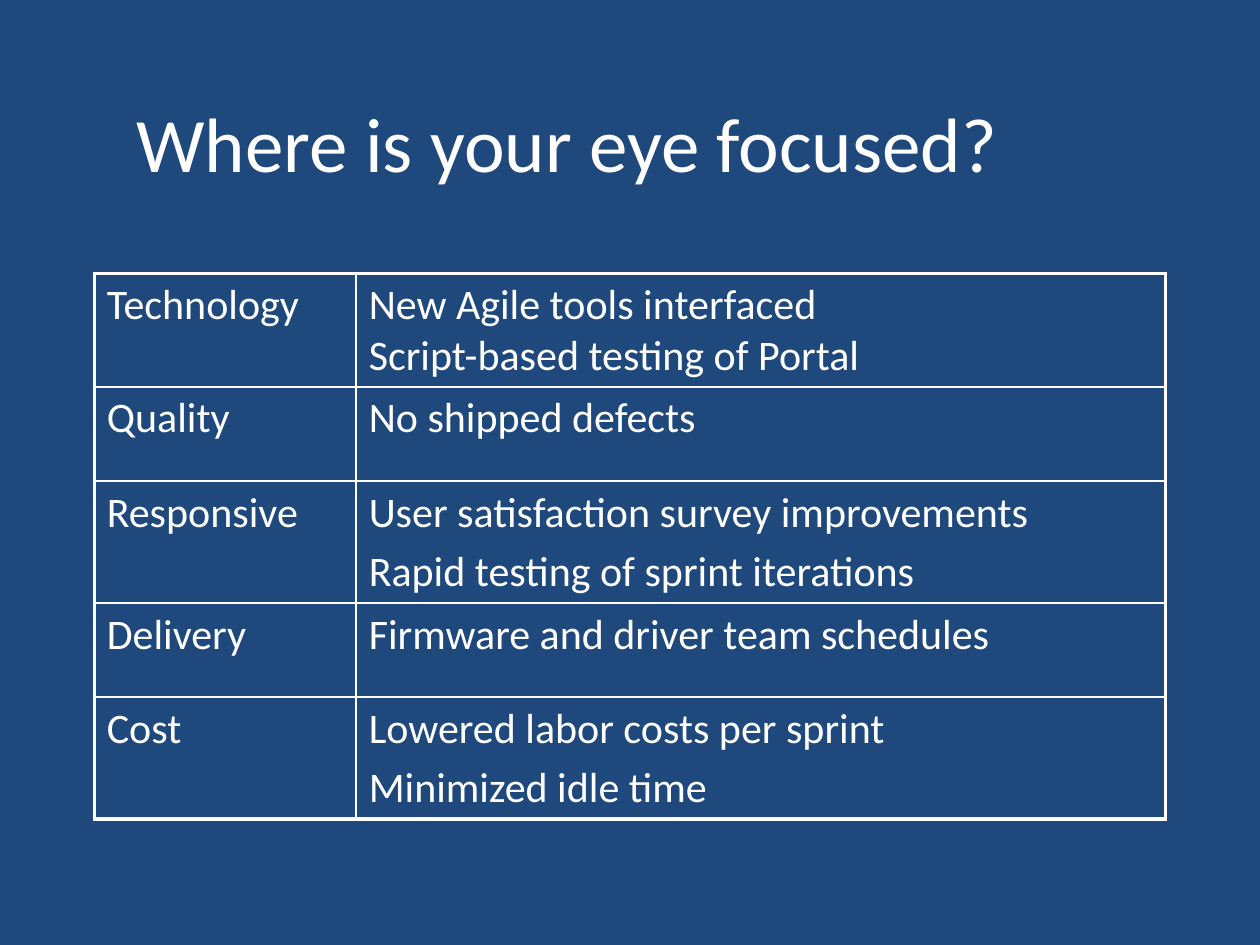
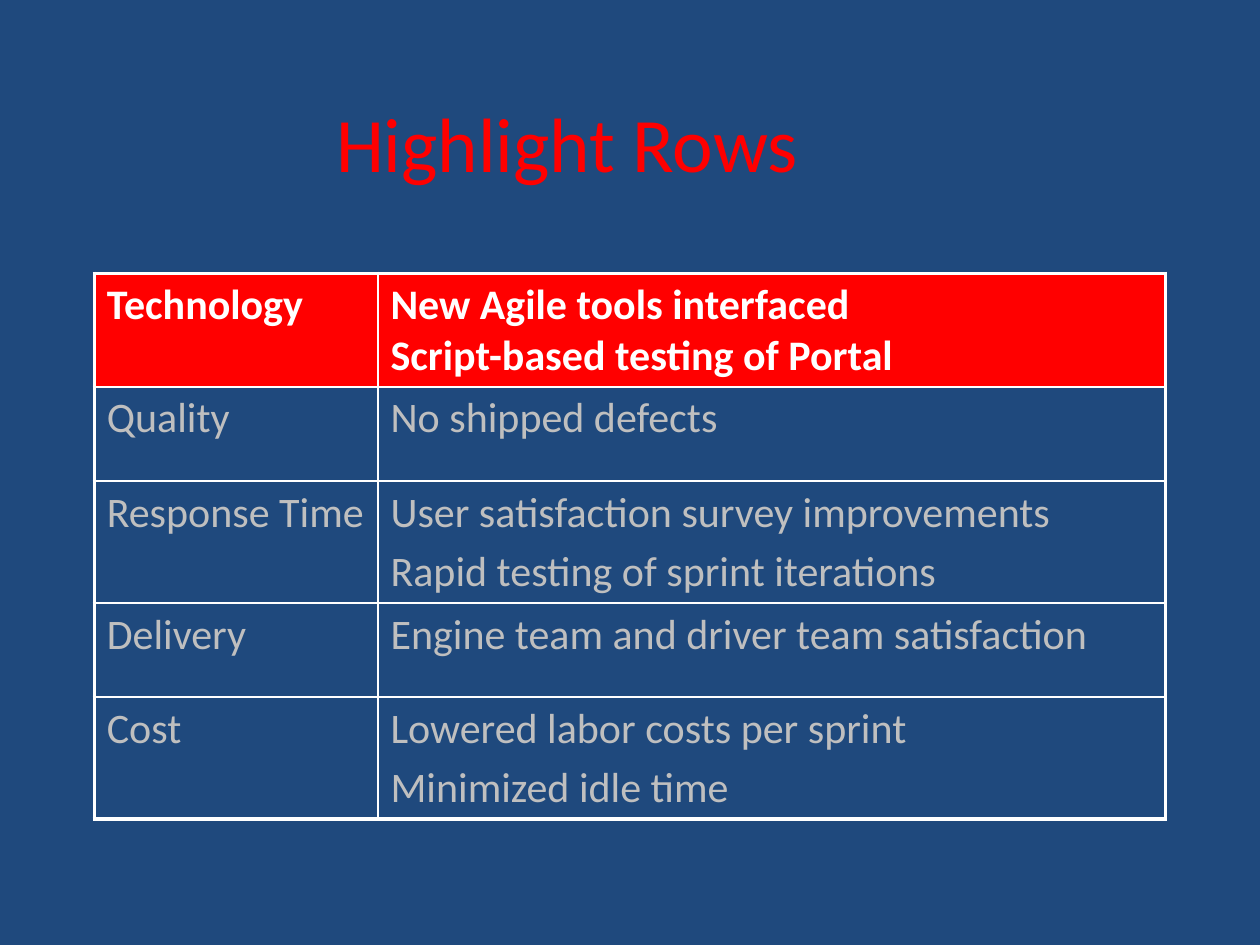
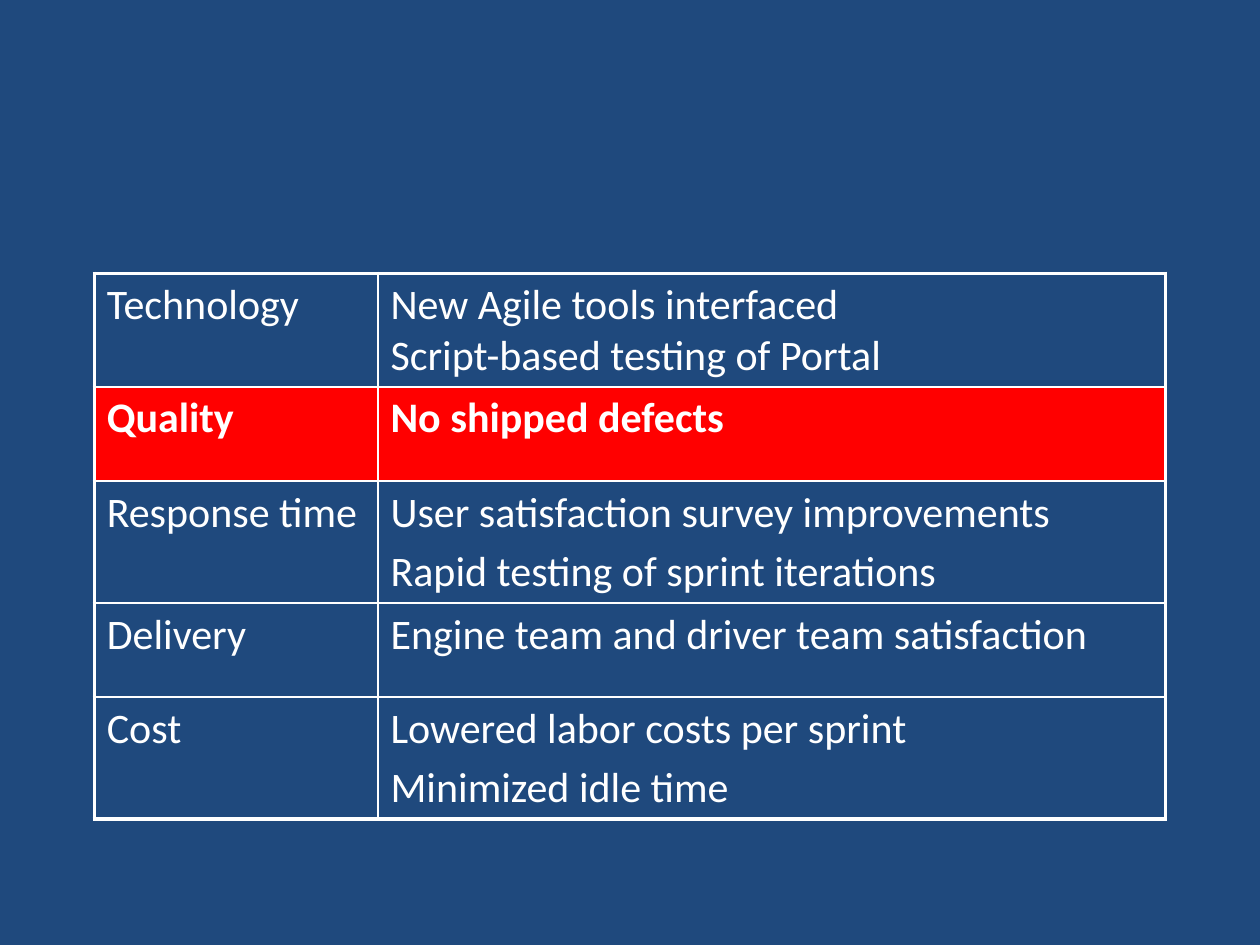
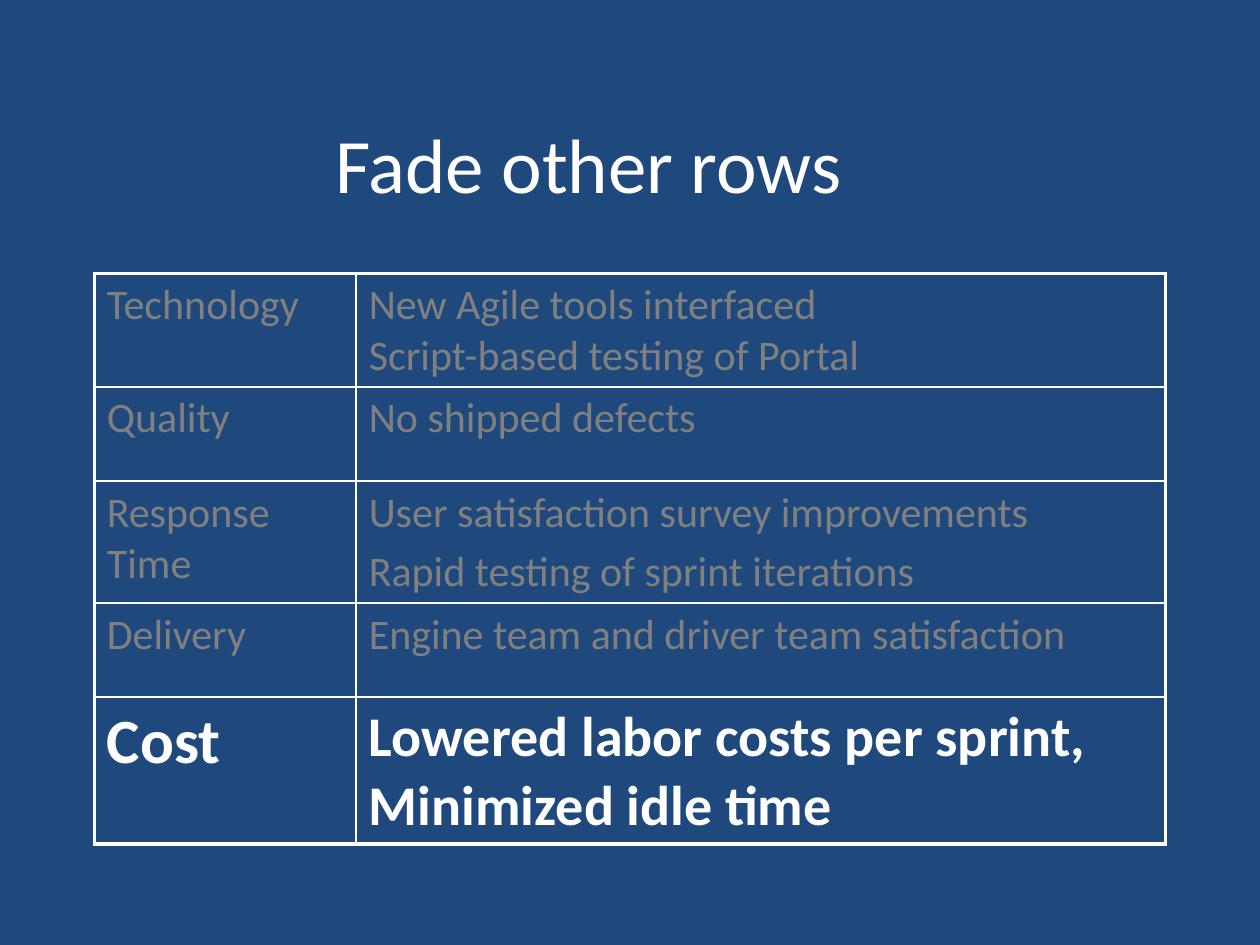
from dataclasses import dataclass

from lxml import etree
from pptx import Presentation
from pptx.dml.color import RGBColor
from pptx.enum.text import MSO_ANCHOR, PP_ALIGN
from pptx.oxml.ns import qn
from pptx.util import Cm, Pt

MIDDLE = MSO_ANCHOR.MIDDLE
CENTER = PP_ALIGN.CENTER
LEFT = PP_ALIGN.LEFT


@dataclass(frozen=True)
class Theme:
    """Colours, font, type sizes and line widths of the deck."""

    back: str = "1F497D"
    white: str = "FFFFFF"
    red: str = "FF0000"
    pale: str = "BFBFBF"
    grey: str = "808080"
    font: str = "Calibri"
    title: int = 44
    body: int = 24
    label: int = 36
    large: int = 32
    gap: float = 0.2
    thick: float = 2.25
    thin: float = 1


THEME = Theme()


@dataclass(frozen=True)
class Look:
    """Style of one table row: ink, weight, fill and size per column."""

    ink: str = THEME.white
    bold: bool = False
    fill: str = ""
    sizes: tuple = (THEME.body, THEME.body)


PLAIN = Look()
MARKED = Look(bold=True, fill=THEME.red)
LOUD = Look(bold=True, sizes=(THEME.label, THEME.large))

HEAD = (0.64, 1.27, 21.59, 3.18)
LOW_HEAD = (1.07, 1.7, 21.59, 3.18)
GRID = (1.9, 5.51, 21.59, 11.07)
TALL_GRID = (1.9, 5.51, 21.59, 11.56)
HEIGHTS = (1.9, 1.9, 1.9, 1.9, 2.29)
NARROW, WIDE = 5.28, 5.72

SURVEY = "User satisfaction survey improvements\nRapid testing of sprint iterations"
TEAMS = "Engine team and driver team satisfaction"
SAVINGS = "Lowered labor costs per sprint\nMinimized idle time"


def goals(reply="Response Time", teams=TEAMS, savings=SAVINGS):
    """Return the five rows of goals."""
    return [
        ("Technology", "New Agile tools interfaced\vScript-based testing of Portal"),
        ("Quality", "No shipped defects"),
        (reply, SURVEY),
        ("Delivery", teams),
        ("Cost", savings),
    ]


def place(box):
    """Turn a box in centimetres into lengths."""
    return [Cm(side) for side in box]


def write(frame, text, size, ink, bold=False, align=LEFT):
    """Fill a text frame and format its runs."""
    frame.text = text
    for index, para in enumerate(frame.paragraphs):
        para.alignment = align
        if index:
            para.space_before = Pt(size * THEME.gap)
        for run in para.runs:
            font = run.font
            font.name, font.size, font.bold = THEME.font, Pt(size), bold
            font.color.rgb = RGBColor.from_string(ink)


def edge(cell, sides):
    """Draw the cell borders, given whether each lies on the outside."""
    props = cell._tc.get_or_add_tcPr()
    for index, (name, outer) in enumerate(sides.items()):
        width = Pt(THEME.thick if outer else THEME.thin)
        line = etree.Element(qn(f"a:{name}"), w=str(width))
        fill = etree.SubElement(line, qn("a:solidFill"))
        etree.SubElement(fill, qn("a:srgbClr"), val=THEME.white)
        props.insert(index, line)


def heading(slide, box, text, ink=THEME.white):
    """Add a centred title in the box."""
    frame = slide.shapes.add_textbox(*place(box)).text_frame
    frame.word_wrap = True
    frame.vertical_anchor = MIDDLE
    write(frame, text, THEME.title, ink, align=CENTER)


def matrix(slide, box, split, rows, looks):
    """Add the goal table, its first column as wide as split."""
    shape = slide.shapes.add_table(len(rows), 2, *place(box))
    table = shape.table
    table.first_row = table.horz_banding = False
    for column, width in zip(table.columns, (split, box[2] - split)):
        column.width = Cm(width)
    last = len(rows) - 1
    for r, (texts, look) in enumerate(zip(rows, looks)):
        table.rows[r].height = Cm(HEIGHTS[r])
        for c, text in enumerate(texts):
            cell = table.cell(r, c)
            write(cell.text_frame, text, look.sizes[c], look.ink, look.bold)
            if look.fill:
                cell.fill.solid()
                cell.fill.fore_color.rgb = RGBColor.from_string(look.fill)
            else:
                cell.fill.background()
            edge(cell, {"lnL": c == 0, "lnR": c == 1, "lnT": r == 0, "lnB": r == last})
    shape.height = Cm(box[3])


def main():
    """Build the four slides and save them."""
    deck = Presentation()
    deck.slide_width, deck.slide_height = Cm(25.4), Cm(19.05)
    fill = deck.slide_master.background.fill
    fill.solid()
    fill.fore_color.rgb = RGBColor.from_string(THEME.back)
    blank = deck.slide_layouts[6]
    focus, first, second, fade = [deck.slides.add_slide(blank) for _ in range(4)]

    heading(focus, HEAD, "Where is your eye focused?")
    rows = goals("Responsive", "Firmware and driver team schedules")
    matrix(focus, GRID, NARROW, rows, [PLAIN] * 5)

    heading(first, HEAD, "Highlight Rows", THEME.red)
    matrix(first, GRID, WIDE, goals(), [MARKED] + [Look(THEME.pale)] * 4)

    looks = [PLAIN, MARKED] + [PLAIN] * 3
    matrix(second, GRID, WIDE, goals("Response time"), looks)

    rows = goals(savings=SAVINGS.replace("\n", ", "))
    matrix(fade, TALL_GRID, NARROW, rows, [Look(THEME.grey)] * 4 + [LOUD])
    heading(fade, LOW_HEAD, "Fade other rows")

    deck.save("out.pptx")


if __name__ == "__main__":
    main()
